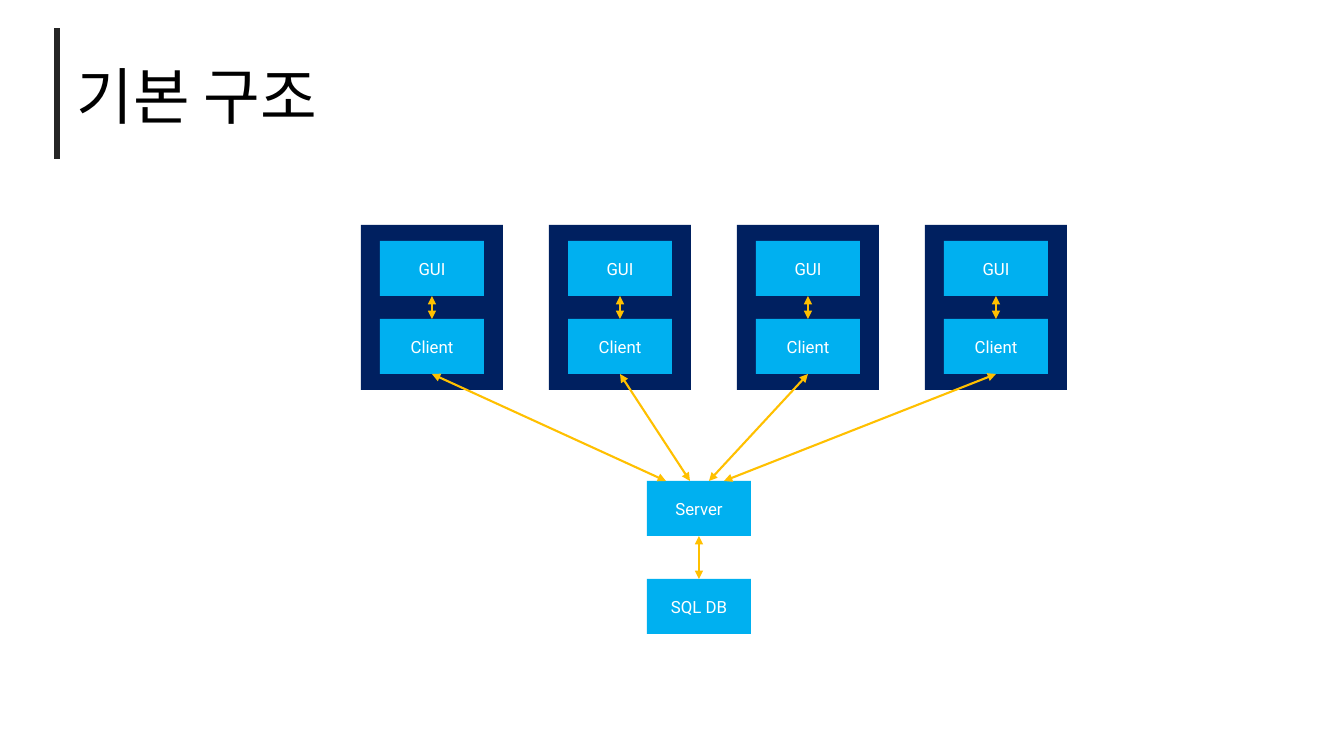
from lxml.etree import SubElement
from pptx import Presentation
from pptx.dml.color import RGBColor
from pptx.enum.shapes import MSO_CONNECTOR, MSO_SHAPE
from pptx.enum.text import MSO_ANCHOR, PP_ALIGN
from pptx.oxml.ns import qn
from pptx.util import Pt

EMU_PER_INCH = 914400
PX_PER_INCH = 100.8
FONT = "Roboto"
WHITE = RGBColor(0xFF, 0xFF, 0xFF)
BLACK = RGBColor(0x00, 0x00, 0x00)
CHARCOAL = RGBColor(0x26, 0x26, 0x26)
NAVY = RGBColor(0x00, 0x20, 0x60)
SKY = RGBColor(0x00, 0xB0, 0xF0)
AMBER = RGBColor(0xFF, 0xC0, 0x00)

TOP, BOTTOM = 0, 2
NODE_WIDTH, NODE_HEIGHT = 104, 55
HOST_LEFT, HOST_TOP, HOST_PITCH = 361, 225, 188
SERVER_LEFT, SERVER_TOP = 647, 481
SERVER_ENTRIES = (666, 690, 709, 724)


def px(length):
    """Turn pixels into EMU."""
    return round(length * EMU_PER_INCH / PX_PER_INCH)


class DiagramSlide:
    """Draw styled elements on one slide."""

    def __init__(self, slide):
        self.shapes = slide.shapes

    def label(self, shape, text, size, color, alignment):
        """Put one styled line of text in a shape."""
        frame = shape.text_frame
        frame.word_wrap = True
        frame.vertical_anchor = MSO_ANCHOR.MIDDLE
        paragraph = frame.paragraphs[0]
        paragraph.text = text
        paragraph.alignment = alignment
        paragraph.font.name = FONT
        paragraph.font.size = Pt(size)
        paragraph.font.color.rgb = color
        return paragraph

    def title(self, text, left, top, width, height):
        """Add the slide title."""
        box = self.shapes.add_textbox(px(left), px(top), px(width), px(height))
        paragraph = self.label(box, text, 44, BLACK, PP_ALIGN.LEFT)
        paragraph.line_spacing = 0.9

    def block(self, left, top, width, height, color):
        """Add a plain filled rectangle."""
        shape = self.shapes.add_shape(
            MSO_SHAPE.RECTANGLE, px(left), px(top), px(width), px(height))
        shape.shadow.inherit = False
        shape.fill.solid()
        shape.fill.fore_color.rgb = color
        shape.line.fill.background()
        return shape

    def node(self, text, left, top):
        """Add a labelled component."""
        shape = self.block(left, top, NODE_WIDTH, NODE_HEIGHT, SKY)
        self.label(shape, text, 12, WHITE, PP_ALIGN.CENTER)
        return shape

    def link(self, upper, lower, entry=None):
        """Join two nodes, or end at an entry x on the lower node's top edge."""
        end_x = lower.left if entry is None else px(entry)
        connector = self.shapes.add_connector(
            MSO_CONNECTOR.STRAIGHT, upper.left, upper.top, end_x, lower.top)
        connector.begin_connect(upper, BOTTOM)
        if entry is None:
            connector.end_connect(lower, TOP)
        connector.line.color.rgb = AMBER
        connector.line.width = Pt(1.5)
        properties = connector.element.spPr
        line = properties.find(qn("a:ln"))
        for end in ("a:headEnd", "a:tailEnd"):
            SubElement(line, qn(end), type="triangle")
        SubElement(properties, qn("a:effectLst"))


def main():
    """Build and save the slide."""
    presentation = Presentation()
    presentation.slide_width = px(1344)
    presentation.slide_height = px(756)
    diagram = DiagramSlide(
        presentation.slides.add_slide(presentation.slide_layouts[6]))

    diagram.title("기본 구조", 67, 27, 294, 146)
    diagram.block(54, 28, 6, 131, CHARCOAL)

    server = diagram.node("Server", SERVER_LEFT, SERVER_TOP)
    database = diagram.node("SQL DB", SERVER_LEFT, SERVER_TOP + 98)
    diagram.link(server, database)

    for index, entry in enumerate(SERVER_ENTRIES):
        left = HOST_LEFT + index * HOST_PITCH
        diagram.block(left, HOST_TOP, 142, 165, NAVY)
        gui = diagram.node("GUI", left + 19, HOST_TOP + 16)
        client = diagram.node("Client", left + 19, HOST_TOP + 94)
        diagram.link(gui, client)
        diagram.link(client, server, entry)

    presentation.save("out.pptx")


if __name__ == "__main__":
    main()
